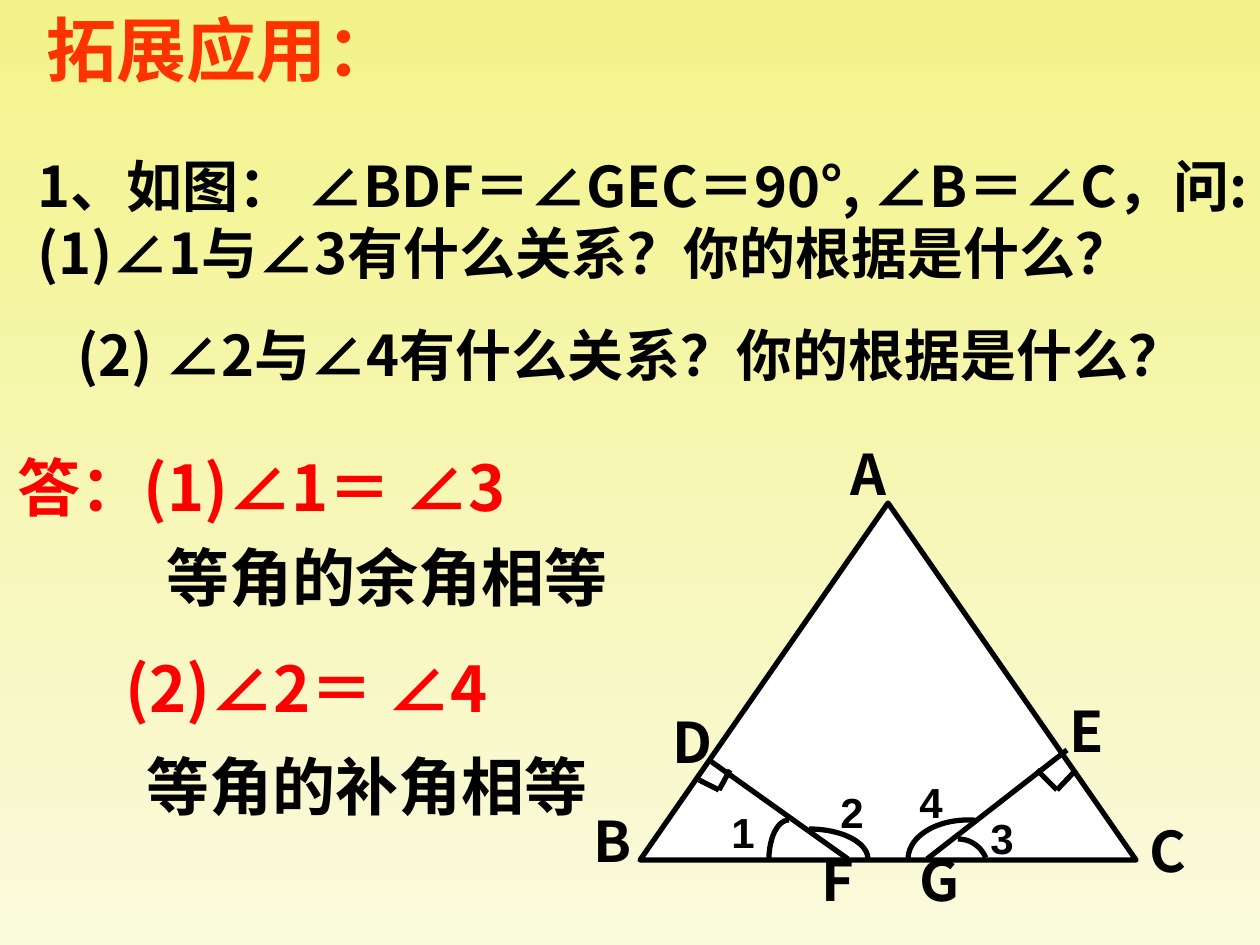
from pptx import Presentation
from pptx.dml.color import RGBColor
from pptx.enum import shapes, text
from pptx.oxml import parse_xml
from pptx.oxml.ns import nsdecls
from pptx.util import Pt

PX = 914400 / 126
CJK, ARIAL = "Noto Sans CJK SC", "Arial"
BLACK, RED, ORANGE, WHITE = "000000", "FF0000", "FF3300", "FFFFFF"
BACKGROUND = ["F3F38A", "FAFADD"]

TITLE = "拓展应用："
QUESTIONS = [
    "1、如图： ∠BDF＝∠GEC＝90°, ∠B＝∠C，问:(1)∠1与∠3有什么关系？你的根据是什么？",
    "(2) ∠2与∠4有什么关系？你的根据是什么？",
]
# text, font, colour, (left, top, width, height)
ANSWERS = [
    ("答：(1)∠1＝ ∠3", CJK, RED, (5, 442, 586, 88)),
    ("等角的余角相等", ARIAL, BLACK, (154, 532, 566, 88)),
    ("(2)∠2＝ ∠4", CJK, RED, (113, 643, 437, 88)),
    ("等角的补角相等", ARIAL, BLACK, (134, 741, 507, 88)),
]
# label: (left, top, width)
VERTICES = {
    "A": (838, 433, 89), "B": (581, 800, 69), "C": (1137, 810, 59),
    "D": (660, 701, 79), "E": (1057, 690, 59),
    "F": (809, 839, 59), "G": (907, 839, 59),
}
ANGLES = {
    "1": (719, 800, 49), "2": (828, 780, 59),
    "4": (907, 770, 59), "3": (978, 806, 59),
}
TRIANGLE = (640, 503, 496, 357)
# Each chain of points is drawn as joined line segments
PERPENDICULARS = [
    [(709, 760), (848, 859)],
    [(1067, 750), (927, 859)],
]
RIGHT_ANGLE_MARKS = [
    [(699, 780), (719, 790), (730, 770)],
    [(1076, 770), (1057, 790), (1037, 770)],
]
# centre x, centre y, radius x, radius y, start and end degrees (clockwise)
ARCS = [
    (789, 859, 20, 39, 180, 270),
    (809, 859, 59, 30, 270, 360),
    (958, 869, 30, 30, 270, 338),
    (968, 859, 60, 39, 180, 280),
]


def emu(*lengths):
    return [round(n * PX) for n in lengths]


def color(value):
    return RGBColor.from_string(value)


def write(frame, paragraphs, size, font=CJK, fill=BLACK, gap=0, last_indent=0):
    frame.word_wrap = True
    frame.auto_size = text.MSO_AUTO_SIZE.NONE
    frame.vertical_anchor = text.MSO_ANCHOR.TOP
    for i, words in enumerate(paragraphs):
        p = frame.paragraphs[0] if i == 0 else frame.add_paragraph()
        p.alignment = text.PP_ALIGN.LEFT
        if i:
            p.space_before = Pt(gap)
            p._p.get_or_add_pPr().set("indent", str(emu(last_indent)[0]))
        run = p.add_run()
        run.text = words
        run.font.size, run.font.bold, run.font.name = Pt(size), True, font
        run.font.color.rgb = color(fill)
        run.font._element.find(
            "{http://schemas.openxmlformats.org/drawingml/2006/main}latin"
        ).addnext(parse_xml(f'<a:ea {nsdecls("a")} typeface="{CJK}"/>'))


def add_text(slide, box, paragraphs, size, **style):
    write(slide.shapes.add_textbox(*emu(*box)).text_frame, paragraphs, size, **style)


def stroke(shape):
    shape.line.color.rgb = color(BLACK)
    shape.line.width = Pt(3)


def add_chain(slide, points):
    for start, end in zip(points, points[1:]):
        line = slide.shapes.add_connector(
            shapes.MSO_CONNECTOR.STRAIGHT, *emu(*start, *end))
        stroke(line)
        line._element.spPr.append(parse_xml(f'<a:effectLst {nsdecls("a")}/>'))


def add_arc(slide, cx, cy, rx, ry, start, end):
    arc = slide.shapes.add_shape(
        shapes.MSO_SHAPE.ARC, *emu(cx - rx, cy - ry, 2 * rx, 2 * ry))
    # Angles are stored in 1/60000 degree, adjustments in 1/100000
    arc.adjustments[0] = start * 0.6
    arc.adjustments[1] = end % 360 * 0.6
    arc.shadow.inherit = False
    arc.fill.background()
    stroke(arc)


def main():
    deck = Presentation()
    deck.slide_width, deck.slide_height = emu(1260, 945)
    slide = deck.slides.add_slide(deck.slide_layouts[5])

    # Background
    backdrop = slide.background.fill
    backdrop.gradient()
    backdrop.gradient_angle = 270
    for stop, value, position in zip(backdrop.gradient_stops, BACKGROUND, (0, 1)):
        stop.color.rgb = color(value)
        stop.position = position

    # Title
    title = slide.shapes.title
    title.left, title.top, title.width, title.height = emu(34, 0, 387, 97)
    write(title.text_frame, [TITLE], 40, font=ARIAL, fill=ORANGE)

    # Triangle
    triangle = slide.shapes.add_shape(
        shapes.MSO_SHAPE.ISOSCELES_TRIANGLE, *emu(*TRIANGLE))
    triangle.shadow.inherit = False
    triangle.fill.solid()
    triangle.fill.fore_color.rgb = color(WHITE)
    stroke(triangle)

    # Questions and answers
    add_text(slide, (25, 145, 1221, 384), QUESTIONS, 32, gap=20, last_indent=40)
    for words, font, fill, box in ANSWERS:
        add_text(slide, box, [words], 36, font=font, fill=fill)

    # Lines and angle arcs
    for chain in PERPENDICULARS + RIGHT_ANGLE_MARKS:
        add_chain(slide, chain)
    for arc in ARCS:
        add_arc(slide, *arc)

    # Labels of the figure
    for labels, height, size, font in (
            (ANGLES, 63, 24, ARIAL), (VERTICES, 81, 32, CJK)):
        for label, place in labels.items():
            add_text(slide, (*place, height), [label], size, font=font)

    deck.save("out.pptx")


if __name__ == "__main__":
    main()
